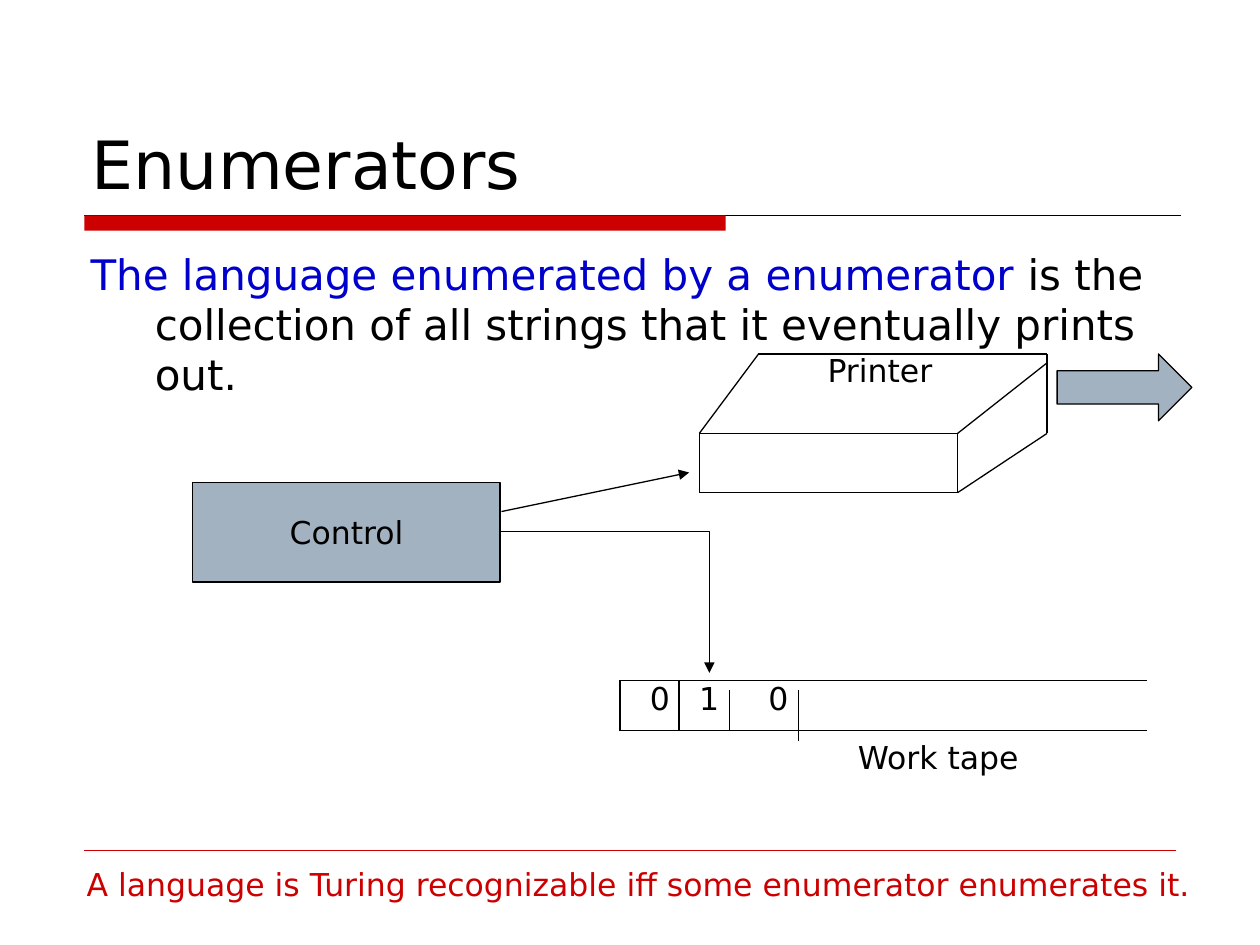
from typing import NamedTuple

from lxml import etree
from pptx import Presentation
from pptx.dml.color import RGBColor
from pptx.enum.shapes import MSO_CONNECTOR, MSO_SHAPE
from pptx.enum.text import MSO_ANCHOR, PP_ALIGN
from pptx.oxml.ns import qn
from pptx.util import Inches, Pt

STRAIGHT, ELBOW = MSO_CONNECTOR.STRAIGHT, MSO_CONNECTOR.ELBOW
RECTANGLE, RIGHT_ARROW = MSO_SHAPE.RECTANGLE, MSO_SHAPE.RIGHT_ARROW
TOP, MIDDLE, BOTTOM = MSO_ANCHOR.TOP, MSO_ANCHOR.MIDDLE, MSO_ANCHOR.BOTTOM
CENTER = PP_ALIGN.CENTER

FONT = "DejaVu Sans"
BLACK, RED, BLUE, STEEL = "000000", "CC0000", "0000CC", "A3B2C1"


class Box(NamedTuple):
    left: float
    top: float
    width: float
    height: float


class Point(NamedTuple):
    x: float
    y: float


class Run(NamedTuple):
    text: str
    color: str = BLACK


class Label(NamedTuple):
    box: Box
    run: Run


def rgb(color):
    return RGBColor.from_string(color)


def add_runs(paragraph, runs: list[Run], size: float):
    for item in runs:
        run = paragraph.add_run()
        run.text = item.text
        run.font.name = FONT
        run.font.size = Pt(size)
        run.font.color.rgb = rgb(item.color)


def add_text(slide, box: Box, runs: list[Run], size=18.0, wrap=False, anchor=TOP):
    frame = slide.shapes.add_textbox(*map(Inches, box)).text_frame
    frame.word_wrap = wrap
    frame.vertical_anchor = anchor
    add_runs(frame.paragraphs[0], runs, size)
    return frame.paragraphs[0]


def add_block(slide, preset, box: Box, fill: str, outline: str | None = BLACK):
    block = slide.shapes.add_shape(preset, *map(Inches, box))
    block.shadow.inherit = False
    block.fill.solid()
    block.fill.fore_color.rgb = rgb(fill)
    if outline:
        block.line.color.rgb = rgb(outline)
        block.line.width = Pt(0.75)
    else:
        block.line.fill.background()
    return block


def add_line(slide, start: Point, end: Point, color=BLACK, width=0.75, arrow=False, kind=STRAIGHT):
    connector = slide.shapes.add_connector(kind, *map(Inches, (*start, *end)))
    connector.line.color.rgb = rgb(color)
    connector.line.width = Pt(width)
    properties = connector.element.spPr
    if arrow:
        etree.SubElement(connector.line._get_or_add_ln(), qn("a:tailEnd"), type="triangle")
    etree.SubElement(properties, qn("a:effectLst"))
    if kind == ELBOW:
        properties.find(qn("a:prstGeom")).set("prst", "bentConnector2")


def add_header(slide):
    add_line(slide, Point(0.67, 1.71), Point(9.37, 1.71))
    add_block(slide, RECTANGLE, Box(0.67, 1.71, 5.09, 0.12), RED, None)
    add_line(slide, Point(0.67, 6.75), Point(9.33, 6.75), RED, 0.25)
    add_text(slide, Box(0.63, 0.33, 8.75, 1.33), [Run("Enumerators")], 38, True, BOTTOM)


def add_definition(slide):
    runs = [
        Run("The language enumerated by a enumerator", BLUE),
        Run(" is the collection of all strings that it eventually prints out."),
    ]
    paragraph = add_text(slide, Box(0.62, 1.92, 8.75, 4.67), runs, 24, True)
    indent = Inches(0.51)
    properties = paragraph._p.get_or_add_pPr()
    properties.set("marL", str(indent))
    properties.set("indent", str(-indent))


def add_control(slide):
    control = add_block(slide, RECTANGLE, Box(1.53, 3.83, 2.44, 0.79), STEEL)
    frame = control.text_frame
    frame.word_wrap = False
    frame.vertical_anchor = MIDDLE
    frame.paragraphs[0].alignment = CENTER
    add_runs(frame.paragraphs[0], [Run("Control")], 18)


def add_printer(slide):
    back_left, back_right = Point(6.02, 2.81), Point(8.31, 2.81)
    front_left, front_right = Point(5.55, 3.44), Point(7.6, 3.44)
    base_left, base_right = Point(5.55, 3.91), Point(7.6, 3.91)
    base_back = Point(8.31, 3.44)
    edges = [
        (back_left, back_right),
        (Point(8.31, 2.88), front_right),
        (back_left, front_left),
        (front_left, front_right),
        (front_left, base_left),
        (base_left, base_right),
        (front_right, base_right),
        (back_right, base_back),
        (base_back, base_right),
    ]
    for start, end in edges:
        add_line(slide, start, end)
    output = add_block(slide, RIGHT_ARROW, Box(8.39, 2.81, 1.07, 0.53), STEEL)
    output.adjustments[0] = 0.5
    output.adjustments[1] = 0.5


def add_tape(slide):
    left, right, top, bottom = 4.92, 9.1, 5.4, 5.8
    for y in (top, bottom):
        add_line(slide, Point(left, y), Point(right, y))
    dividers = [(left, top, bottom), (5.39, top, bottom), (5.79, 5.48, bottom), (6.34, 5.48, 5.88)]
    for x, start, end in dividers:
        add_line(slide, Point(x, start), Point(x, end))
    for symbol, x in (("0", 5.06), ("1", 5.45), ("0", 6)):
        add_text(slide, Box(x, 5.34, 0.36, 0.4), [Run(symbol)])


def main():
    """Build the slide on enumerators and save it."""
    deck = Presentation()
    deck.slide_width, deck.slide_height = Inches(10), Inches(7.5)
    slide = deck.slides.add_slide(deck.slide_layouts[6])

    add_header(slide)
    add_definition(slide)
    add_control(slide)
    add_printer(slide)
    add_tape(slide)
    add_line(slide, Point(3.98, 4.06), Point(5.47, 3.75), arrow=True)
    add_line(slide, Point(3.98, 4.22), Point(5.63, 5.34), arrow=True, kind=ELBOW)

    theorem = "A language is Turing recognizable iff some enumerator enumerates it."
    labels = [
        Label(Box(6.47, 2.74, 1.04, 0.4), Run("Printer")),
        Label(Box(6.71, 5.81, 1.49, 0.4), Run("Work tape")),
        Label(Box(0.59, 6.82, 9.03, 0.4), Run(theorem, RED)),
    ]
    for label in labels:
        add_text(slide, label.box, [label.run])
    deck.save("out.pptx")


if __name__ == "__main__":
    main()
